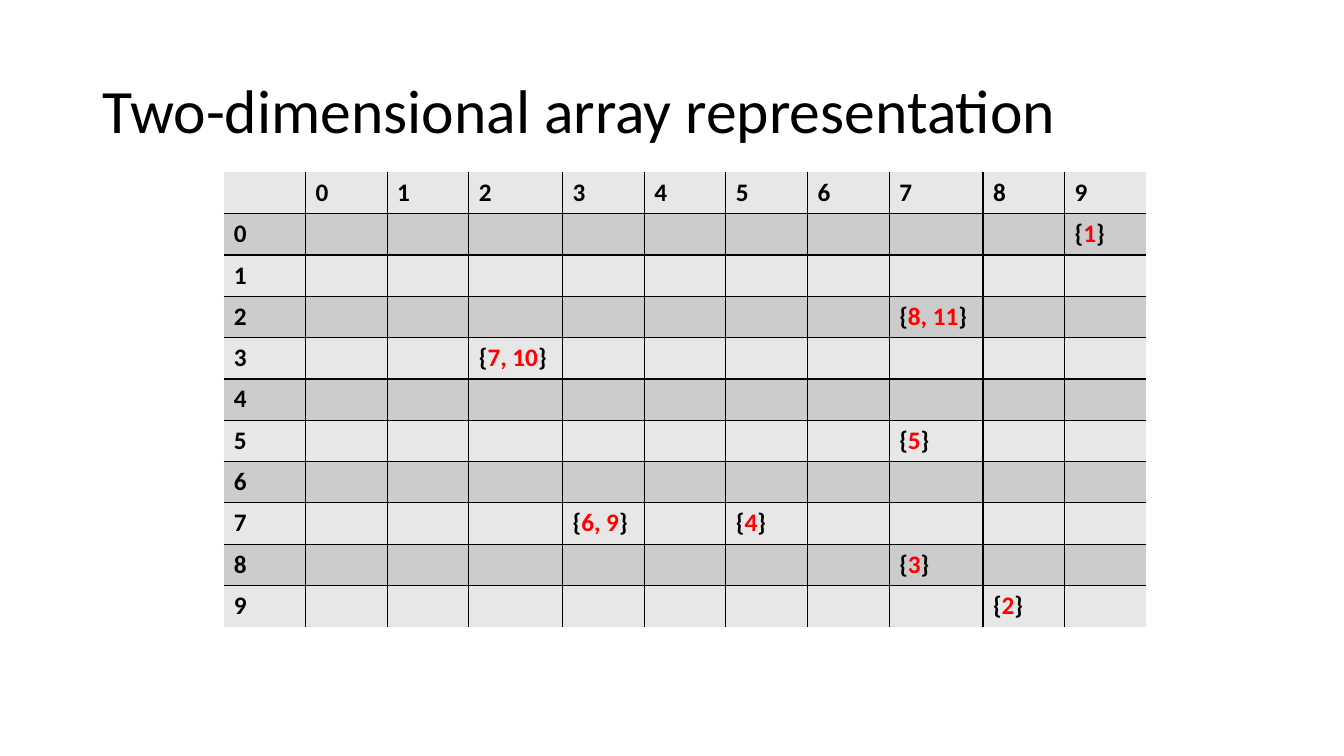
from dataclasses import dataclass

import lxml.etree
import pptx
import pptx.dml.color
import pptx.enum.text
import pptx.oxml.ns
import pptx.presentation
import pptx.slide
import pptx.table
import pptx.text.text
import pptx.util
from pptx.util import Inches


@dataclass(frozen=True)
class Theme:
    font: str = "Calibri"
    title_size: int = 44
    cell_size: int = 18
    line_width: int = 1
    text: str = "000000"
    member: str = "FF0000"
    border: str = "000000"
    light_band: str = "E7E7E7"
    dark_band: str = "CCCCCC"


@dataclass(frozen=True)
class Entry:
    row: int
    column: int
    members: str


THEME = Theme()
INDEX_COUNT = 10
GRID_SIZE = INDEX_COUNT + 1
CELL_WIDTH, WIDE_CELL_WIDTH, CELL_HEIGHT = 0.81, 0.93, 0.41
WIDE_INDEXES = (2, 7)
ENTRIES = (
    Entry(0, 9, "1"),
    Entry(2, 7, "8, 11"),
    Entry(3, 2, "7, 10"),
    Entry(5, 7, "5"),
    Entry(7, 3, "6, 9"),
    Entry(7, 5, "4"),
    Entry(8, 7, "3"),
    Entry(9, 8, "2"),
)


def color(value: str) -> pptx.dml.color.RGBColor:
    return pptx.dml.color.RGBColor.from_string(value)


def style_paragraph(
    paragraph: pptx.text.text._Paragraph, size: int, bold: bool = False
) -> None:
    paragraph.font.name = THEME.font
    paragraph.font.size = pptx.util.Pt(size)
    paragraph.font.bold = bold
    paragraph.font.color.rgb = color(THEME.text)


def set_borders(cell: pptx.table._Cell, row: int, column: int) -> None:
    """Rule the inner edges and leave the outer frame open."""
    last = GRID_SIZE - 1
    inner_edges = {"lnL": column > 0, "lnR": column < last, "lnT": row > 0, "lnB": row < last}
    qualified = pptx.oxml.ns.qn
    properties = cell._tc.get_or_add_tcPr()
    for tag, visible in inner_edges.items():
        width = str(pptx.util.Pt(THEME.line_width))
        line = lxml.etree.SubElement(properties, qualified(f"a:{tag}"), w=width)
        if visible:
            fill = lxml.etree.SubElement(line, qualified("a:solidFill"))
            lxml.etree.SubElement(fill, qualified("a:srgbClr"), val=THEME.border)
        else:
            lxml.etree.SubElement(line, qualified("a:noFill"))


def add_title(slide: pptx.slide.Slide, text: str) -> None:
    box = slide.shapes.add_textbox(Inches(0.92), Inches(0.4), Inches(11.5), Inches(1.45))
    frame = box.text_frame
    frame.word_wrap = True
    frame.vertical_anchor = pptx.enum.text.MSO_ANCHOR.MIDDLE
    paragraph = frame.paragraphs[0]
    paragraph.text = text
    paragraph.line_spacing = 0.9
    style_paragraph(paragraph, THEME.title_size)


def add_grid(slide: pptx.slide.Slide) -> pptx.table.Table:
    widths = [CELL_WIDTH] + [
        WIDE_CELL_WIDTH if index in WIDE_INDEXES else CELL_WIDTH
        for index in range(INDEX_COUNT)
    ]
    table = slide.shapes.add_table(
        GRID_SIZE, GRID_SIZE, Inches(2.22), Inches(1.71),
        Inches(sum(widths)), Inches(CELL_HEIGHT * GRID_SIZE),
    ).table
    table.first_row = table.horz_banding = False
    for table_column, width in zip(table.columns, widths):
        table_column.width = Inches(width)

    for row in range(GRID_SIZE):
        table.rows[row].height = Inches(CELL_HEIGHT)
        for column in range(GRID_SIZE):
            cell = table.cell(row, column)
            set_borders(cell, row, column)
            cell.fill.solid()
            cell.fill.fore_color.rgb = color(THEME.dark_band if row % 2 else THEME.light_band)
            paragraph = cell.text_frame.paragraphs[0]
            style_paragraph(paragraph, THEME.cell_size, bold=True)
            # Row and column indexes share the header edges
            if (row == 0) != (column == 0):
                paragraph.text = str(row + column - 1)
    return table


def add_entry(table: pptx.table.Table, entry: Entry) -> None:
    paragraph = table.cell(entry.row + 1, entry.column + 1).text_frame.paragraphs[0]
    parts = (("{", THEME.text), (entry.members, THEME.member), ("}", THEME.text))
    for text, text_color in parts:
        run = paragraph.add_run()
        run.text = text
        run.font.color.rgb = color(text_color)


# Slide
presentation = pptx.Presentation()
presentation.slide_width = Inches(13.33)
presentation.slide_height = Inches(7.5)
slide = presentation.slides.add_slide(presentation.slide_layouts[6])

# Array table
array_table = add_grid(slide)
for entry in ENTRIES:
    add_entry(array_table, entry)

# Title
add_title(slide, "Two-dimensional array representation")

presentation.save("out.pptx")
